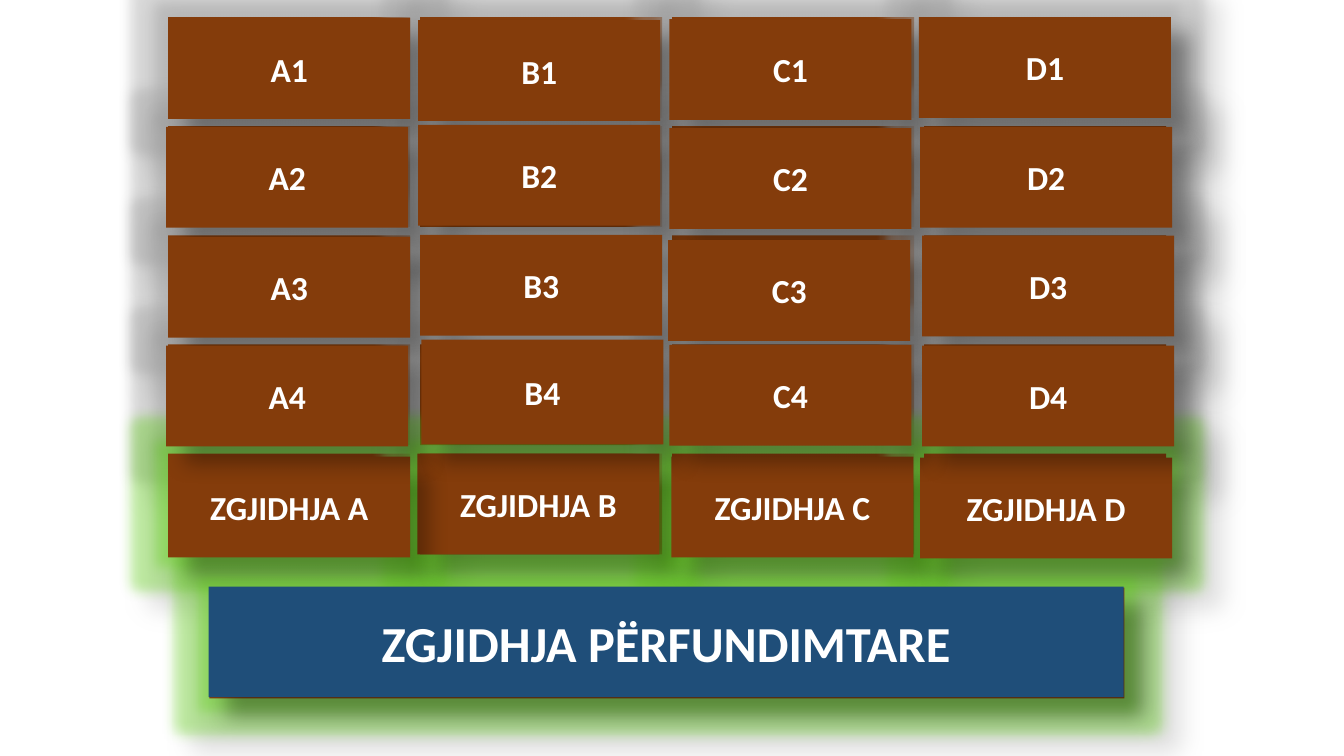
from lxml import etree
from pptx import Presentation
from pptx.dml.color import RGBColor
from pptx.enum.shapes import MSO_SHAPE
from pptx.enum.text import MSO_ANCHOR, MSO_AUTO_SIZE, PP_ALIGN
from pptx.oxml.ns import qn
from pptx.util import Cm, Pt

RECTANGLE = MSO_SHAPE.RECTANGLE
MIDDLE = MSO_ANCHOR.MIDDLE
CENTER = PP_ALIGN.CENTER
NO_FIT = MSO_AUTO_SIZE.NONE

COLOURS = {
    "tile": "843C0B",
    "final": "1F4E79",
    "text": "FFFFFF",
    "shadow": "000000",
    "clue glow": "A5A5A5",
    "solution glow": "68D321",
}
TILE_HEIGHT = 2.54
BACKING_WIDTH = 6.1
COLUMN_STEP, ROW_STEP = 6.35, 2.75

# Tile width, then left and top of the four clues and of the solution, in cm
COLUMNS = {
    "A": (6.1, [(4.24, 0.46), (4.19, 3.2), (4.24, 5.97), (4.19, 8.71), (4.24, 11.51)]),
    "B": (6.1, [(10.54, 0.51), (10.54, 3.15), (10.59, 5.92), (10.62, 8.56), (10.52, 11.43)]),
    "C": (6.1, [(16.87, 0.48), (16.87, 3.23), (16.84, 6.05), (16.87, 8.69), (16.92, 11.51)]),
    "D": (6.35, [(23.16, 0.43), (23.19, 3.2), (23.24, 5.94), (23.24, 8.71), (23.19, 11.53)]),
}
TALL_TILES = {"B4": 2.64}


class Board:
    """Holds the board's style and the page it is drawn on."""

    def __init__(self, page):
        self.page = page
        self.font = {"name": "Calibri", "bold": True}

    def add_effect(self, effects, kind, colour, alpha, **settings):
        effect = etree.SubElement(effects, qn(f"a:{kind}"))
        for name, value in settings.items():
            effect.set(name, str(value))
        shade = etree.SubElement(effect, qn("a:srgbClr"), val=COLOURS[colour])
        etree.SubElement(shade, qn("a:alpha"), val=str(alpha * 1000))

    def style_box(self, box, colour, glow=None):
        box.fill.solid()
        box.fill.fore_color.rgb = RGBColor.from_string(COLOURS[colour])
        box.line.fill.background()
        effects = etree.SubElement(box._element.spPr, qn("a:effectLst"))
        if glow:
            self.add_effect(effects, "glow", glow, 40, rad=Pt(18))
        self.add_effect(effects, "outerShdw", "shadow", 30, blurRad=Pt(15),
                        dist=Pt(18), dir=45 * 60000, algn="ctr", rotWithShape=0)

    def add_label(self, box, text, size):
        frame = box.text_frame
        layout = {"auto_size": NO_FIT, "word_wrap": True, "vertical_anchor": MIDDLE}
        for name, value in layout.items():
            setattr(frame, name, value)
        para = frame.paragraphs[0]
        para.alignment = CENTER
        span = para.add_run()
        span.text = text
        for name, value in {**self.font, "size": Pt(size)}.items():
            setattr(span.font, name, value)
        span.font.color.rgb = RGBColor.from_string(COLOURS["text"])

    def add_tile(self, left, top, width, height=TILE_HEIGHT, text=None, glow=None):
        box = self.page.shapes.add_shape(
            RECTANGLE, Cm(left), Cm(top), Cm(width), Cm(height))
        self.style_box(box, "tile", glow)
        if text:
            self.add_label(box, text, 24)

    def add_title(self, left, top, width, height, text):
        """Turn the title placeholder into the front bar."""
        box = self.page.shapes.title
        place = {"left": left, "top": top, "width": width, "height": height}
        for name, value in place.items():
            setattr(box, name, Cm(value))
        self.style_box(box, "final")
        self.add_label(box, text, 36)
        box._element.getparent().append(box._element)


def main():
    deck = Presentation()
    deck.slide_width, deck.slide_height = Cm(33.87), Cm(19.05)
    board = Board(deck.slides.add_slide(deck.slide_layouts[5]))

    for column in range(len(COLUMNS)):
        for row in range(5):
            if (column, row) != (1, 2):
                board.add_tile(4.24 + column * COLUMN_STEP, 0.43 + row * ROW_STEP,
                               BACKING_WIDTH,
                               glow="solution glow" if row == 4 else "clue glow")
    board.add_tile(5.28, 14.81, 23.06, 2.79, glow="solution glow")

    for letter in "BCDA":
        width, places = COLUMNS[letter]
        board.add_tile(*places[4], width, text=f"ZGJIDHJA {letter}")
    for letter, (width, places) in COLUMNS.items():
        for number, place in enumerate(places[:4], 1):
            label = f"{letter}{number}"
            board.add_tile(*place, width, TALL_TILES.get(label, TILE_HEIGHT), label)

    board.add_title(5.26, 14.78, 23.06, 2.79, "ZGJIDHJA PËRFUNDIMTARE")
    deck.save("out.pptx")


if __name__ == "__main__":
    main()
